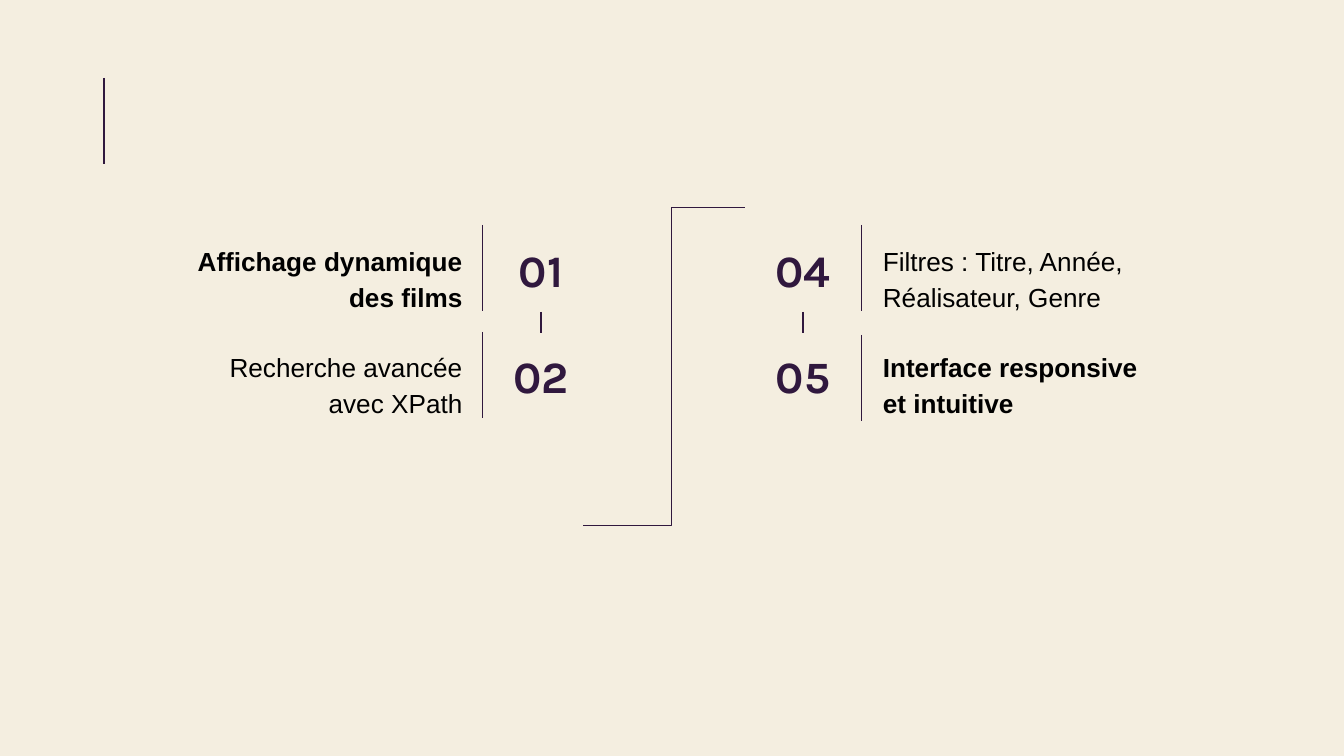
"""Build the feature overview slide: two columns of numbered captions."""
from dataclasses import dataclass

from lxml.etree import SubElement
from pptx import Presentation
from pptx.dml.color import RGBColor
from pptx.enum.shapes import MSO_CONNECTOR as Line
from pptx.enum.text import MSO_ANCHOR as Anchor, PP_ALIGN as Align
from pptx.oxml.ns import qn
from pptx.util import Inches, Pt


@dataclass(frozen=True)
class Theme:
    paper: RGBColor = RGBColor(0xF4, 0xEE, 0xE0)
    plum: RGBColor = RGBColor(0x30, 0x18, 0x3E)
    black: RGBColor = RGBColor(0, 0, 0)
    body_font: str = "Arial"
    number_font: str = "Karla"
    body_size: Pt = Pt(14)
    number_size: Pt = Pt(24)
    rule_width: Pt = Pt(0.75)
    spacing: float = 1.15


@dataclass(frozen=True)
class Item:
    number: str
    caption: str
    bold: bool
    rule_top: float


@dataclass(frozen=True)
class Column:
    caption_x: float
    number_x: float
    rule_x: float
    align: Align
    items: tuple[Item, ...]


THEME = Theme()
ROW_TOP, ROW_PITCH, ROW_HEIGHT = 30.04, 14.05, 11.2
CAPTION_WIDTH, NUMBER_WIDTH, RULE_LENGTH = 21.9, 7.5, 11.45

COLUMNS = (
    Column(13.5, 36.5, 35.9, Align.RIGHT, (
        Item("01", "Affichage dynamique des films", True, 29.75),
        Item("02", "Recherche avancée avec XPath", False, 43.9),
    )),
    Column(64.7, 56, 64.1, Align.LEFT, (
        Item("04", "Filtres : Titre, Année, Réalisateur, Genre", False, 29.75),
        Item("05", "Interface responsive et intuitive", True, 44.3),
    )),
)

prs = Presentation()
prs.slide_width = Inches(10)
prs.slide_height = prs.slide_width * 9 // 16
s = prs.slides.add_slide(prs.slide_layouts[6])
s.background.fill.solid()
s.background.fill.fore_color.rgb = THEME.paper


def across(percent: float) -> int:
    """Turn a percentage of the slide's width into a length."""
    return round(prs.slide_width * percent / 100)


def down(percent: float) -> int:
    """Turn a percentage of the slide's height into a length."""
    return round(prs.slide_height * percent / 100)


def add_line(x1: float, y1: float, x2: float, y2: float, kind: Line = Line.STRAIGHT):
    """Draw a plum connector between two points."""
    sp = s.shapes.add_connector(kind, across(x1), down(y1), across(x2), down(y2))
    sp.line.color.rgb = THEME.plum
    sp.line.width = THEME.rule_width
    SubElement(sp._element.spPr, qn("a:effectLst"))
    return sp


def add_text(text: str, x: float, y: float, width: float, align: Align, anchor: Anchor,
             font: str, size: Pt, color: RGBColor, bold: bool, spacing: float = 1.0):
    """Place a one-paragraph text box in a row."""
    sp = s.shapes.add_textbox(across(x), down(y), across(width), down(ROW_HEIGHT))
    tf = sp.text_frame
    tf.text = text
    tf.word_wrap = True
    tf.vertical_anchor = anchor
    tf.margin_left = tf.margin_right = tf.margin_top = tf.margin_bottom = Inches(0.1)
    p = tf.paragraphs[0]
    p.alignment = align
    p.line_spacing = spacing
    r = p.runs[0]
    r.font.name, r.font.size, r.font.bold = font, size, bold
    r.font.color.rgb = color
    return sp


def add_column(column: Column) -> None:
    """Draw a column's captions, rules and linked numbers."""
    numbers = []
    for row, item in enumerate(column.items):
        y = ROW_TOP + row * ROW_PITCH
        add_text(item.caption, column.caption_x, y, CAPTION_WIDTH, column.align, Anchor.TOP,
                 THEME.body_font, THEME.body_size, THEME.black, item.bold, THEME.spacing)
        numbers.append(add_text(item.number, column.number_x, y, NUMBER_WIDTH, Align.CENTER,
                                Anchor.MIDDLE, THEME.number_font, THEME.number_size,
                                THEME.plum, True))
        add_line(column.rule_x, item.rule_top, column.rule_x, item.rule_top + RULE_LENGTH)
    middle = column.number_x + NUMBER_WIDTH / 2
    for upper, lower in zip(numbers, numbers[1:]):
        link = add_line(middle, ROW_TOP + ROW_HEIGHT, middle, ROW_TOP + ROW_PITCH)
        link.begin_connect(upper, 2)
        link.end_connect(lower, 0)


def add_divider() -> None:
    """Draw the stepped line between the columns."""
    sp = add_line(43.4, 69.55, 55.4, 27.5, Line.ELBOW)
    guides = sp._element.spPr.find(qn("a:prstGeom")).get_or_add_avLst()
    SubElement(guides, qn("a:gd"), name="adj1", fmla="val 54600")


add_line(7.75, 10.3, 7.75, 21.7)
for column in COLUMNS:
    add_column(column)
add_divider()
prs.save("out.pptx")
